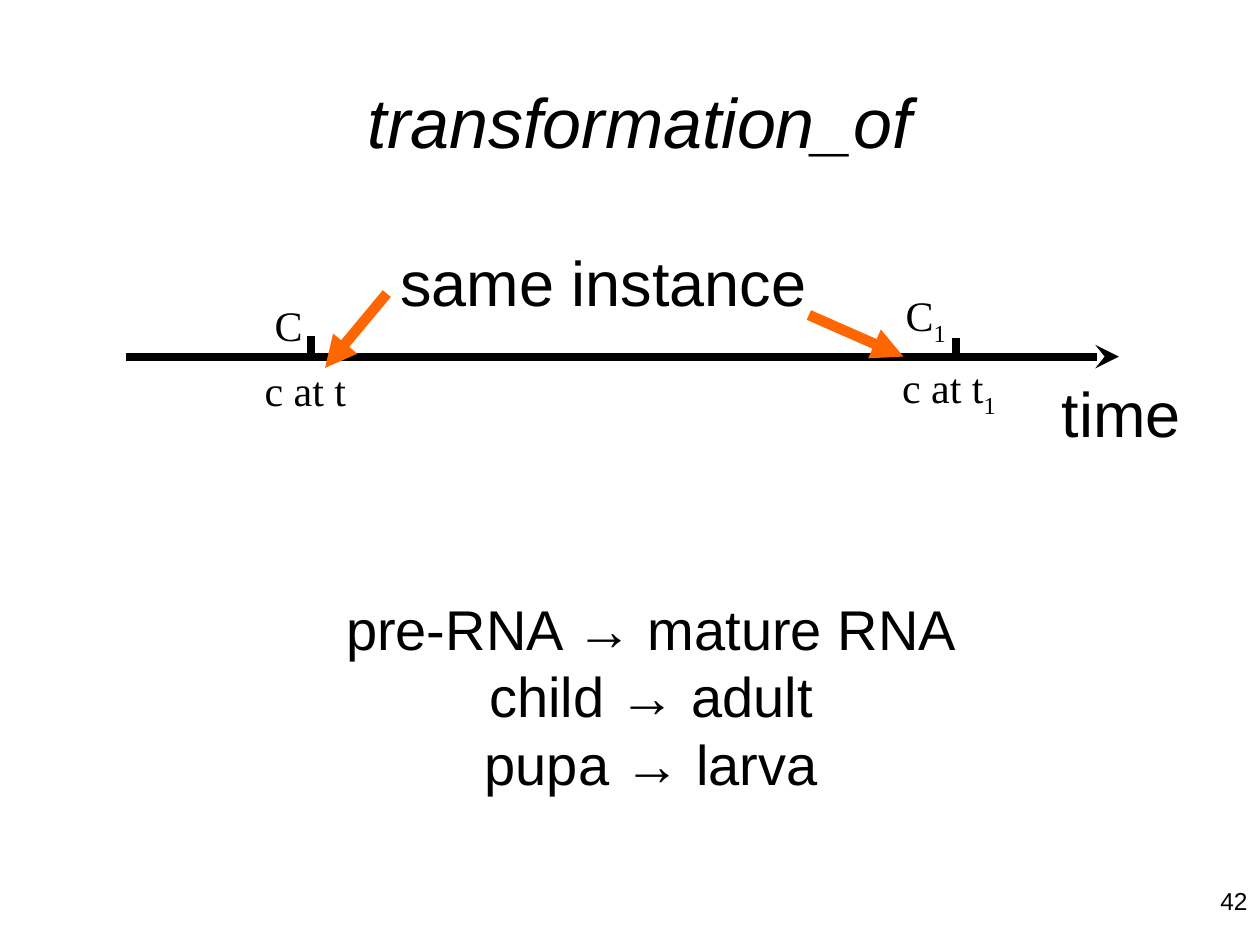
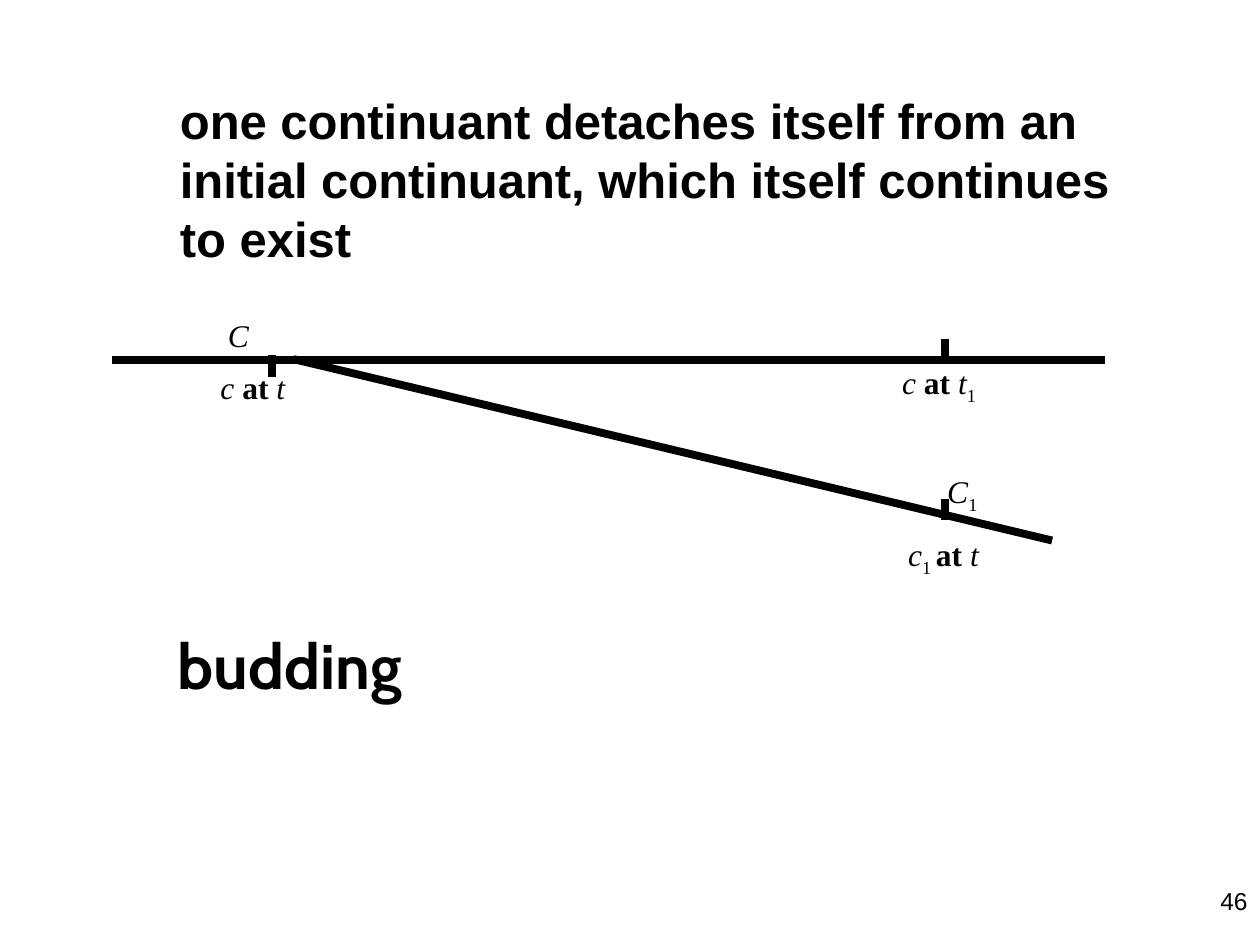
import pptx
import pptx.dml.color
import pptx.enum.shapes
import pptx.enum.text
import pptx.util
import pptx.oxml
import pptx.oxml.ns
from lxml import etree

Inches = pptx.util.Inches
Pt = pptx.util.Pt
Align = pptx.enum.text.PP_ALIGN
Anchor = pptx.enum.text.MSO_ANCHOR

BLACK = pptx.dml.color.RGBColor(0, 0, 0)
ORANGE = pptx.dml.color.RGBColor(0xFF, 0x66, 0x00)
SANS, SERIF, ROUNDED = "Arial", "Times New Roman", "Cabin"
LINE_WIDTH = 4.5
TIGHT = (0.08, 0.04)
TICK_HEIGHT = 0.17


def add_text(slide, paragraphs, left, top, width, height, font=SANS, size=18,
             style="", align=Align.LEFT, anchor=Anchor.TOP,
             inset=(0.1, 0.05), space_after=0, indents=()):
    """A paragraph is a string or a list of (text, style) runs.

    Style letters: b bold, i italic, s subscript.
    indents holds the left indent, in inches, of the first paragraphs.
    """
    box = slide.shapes.add_textbox(Inches(left), Inches(top),
                                   Inches(width), Inches(height))
    frame = box.text_frame
    frame.word_wrap = True
    frame.vertical_anchor = anchor
    frame.margin_left = frame.margin_right = Inches(inset[0])
    frame.margin_top = frame.margin_bottom = Inches(inset[1])
    for index, content in enumerate(paragraphs):
        paragraph = frame.add_paragraph() if index else frame.paragraphs[0]
        paragraph.alignment = align
        paragraph.space_after = Pt(space_after)
        if index < len(indents):
            properties = paragraph._p.get_or_add_pPr()
            properties.set("marL", str(Inches(indents[index])))
        runs = [(content, style)] if isinstance(content, str) else content
        for text, run_style in runs:
            run = paragraph.add_run()
            run.text = text
            run.font.name = font
            run.font.size = Pt(size)
            run.font.color.rgb = BLACK
            run.font.bold = "b" in run_style
            run.font.italic = "i" in run_style
            if "s" in run_style:
                run._r.get_or_add_rPr().set("baseline", "-25000")
    return box


def add_line(slide, start, end, color=BLACK, width=LINE_WIDTH, arrow=None):
    """Straight line; arrow names the arrowhead at its end."""
    connector = slide.shapes.add_connector(
        pptx.enum.shapes.MSO_CONNECTOR.STRAIGHT,
        Inches(start[0]), Inches(start[1]), Inches(end[0]), Inches(end[1]))
    connector.line.color.rgb = color
    connector.line.width = Pt(width)
    if arrow:
        etree.SubElement(connector.line._get_or_add_ln(),
                         pptx.oxml.ns.qn("a:tailEnd"), type=arrow)
    etree.SubElement(connector._element.spPr, pptx.oxml.ns.qn("a:effectLst"))


def add_tick(slide, x, top):
    add_line(slide, (x, top), (x, top + TICK_HEIGHT))


def add_page_number(slide, number):
    add_text(slide, [str(number)], 7.67, 6.98, 2.33, 0.52,
             size=14, align=Align.RIGHT)


def new_slide(presentation, page_number):
    slide = presentation.slides.add_slide(presentation.slide_layouts[6])
    add_page_number(slide, page_number)
    return slide


def build_transformation(presentation):
    slide = new_slide(presentation, 42)
    add_text(slide, ["transformation_of"], 0.58, 0.33, 9, 1.25, size=40,
             style="i", align=Align.CENTER, anchor=Anchor.MIDDLE)

    # Time axis with its two moments
    add_text(slide, [[("c at t", ""), ("1", "s")]], 7.08, 2.83, 1.2, 0.51,
             font=SERIF, size=24, inset=TIGHT)
    add_line(slide, (1, 2.83), (8.88, 2.83), arrow="stealth")
    add_text(slide, ["C", "c at t"], 2.02, 2.34, 1.06, 1.12, font=SERIF,
             size=24, inset=TIGHT, space_after=8, indents=(0.08,))
    add_tick(slide, 2.47, 2.67)
    add_tick(slide, 7.59, 2.68)
    add_text(slide, [[("C", ""), ("1", "s")]], 6.67, 2.25, 1.67, 0.56,
             font=SERIF, size=24, indents=(0.42,))
    add_text(slide, ["time"], 8.33, 2.92, 2.42, 0.7, size=36)

    # Label pointing at both moments
    add_text(slide, ["same instance"], 3.08, 1.88, 3.83, 0.7, size=36)
    for start, end in (((6.42, 2.5), (7.17, 2.83)),
                       ((3.07, 2.33), (2.58, 2.92))):
        add_line(slide, start, end, ORANGE, 6, "triangle")

    # Examples
    add_text(slide, ["pre-RNA → mature RNA", "child → adult", "pupa → larva"],
             2.42, 4.67, 5.5, 1.7, size=32, align=Align.CENTER)


def build_budding(presentation):
    slide = new_slide(presentation, 46)
    add_text(slide, ["one continuant detaches itself from an initial "
                     "continuant, which itself continues to exist"],
             1.33, 0.67, 8, 1.03, size=28, style="b")

    # Continuing line and the branch that leaves it
    add_line(slide, (0.89, 2.86), (8.77, 2.86))
    add_line(slide, (2.33, 2.85), (8.35, 4.29))
    for x, top in ((2.16, 2.82), (7.5, 2.69), (7.5, 3.96)):
        add_tick(slide, x, top)

    # Instance labels
    at_time = [("c ", "i"), ("at ", "b"), ("t", "i")]
    add_text(slide, [[("C", "i")], at_time], 1.67, 2.47, 1.06, 1.12,
             font=SERIF, inset=TIGHT, space_after=8, indents=(0.06,))
    add_text(slide, [at_time + [("1", "s")]], 7.08, 2.84, 1.2, 0.51,
             font=SERIF, inset=TIGHT)
    add_text(slide, [[("C", "i"), ("1", "s")],
                     [("c", "i"), ("1 ", "s"), ("at ", "b"), ("t", "i")]],
             7.11, 3.7, 1.67, 0.94, font=SERIF, space_after=11.2,
             indents=(0.31,))

    # Name of the relation
    add_text(slide, ["budding"], 1.31, 4.92, 3.75, 0.7,
             font=ROUNDED, size=36, style="b")


def main():
    presentation = pptx.Presentation()
    presentation.slide_width = Inches(10)
    presentation.slide_height = Inches(7.5)
    build_transformation(presentation)
    build_budding(presentation)
    presentation.save("out.pptx")


main()
